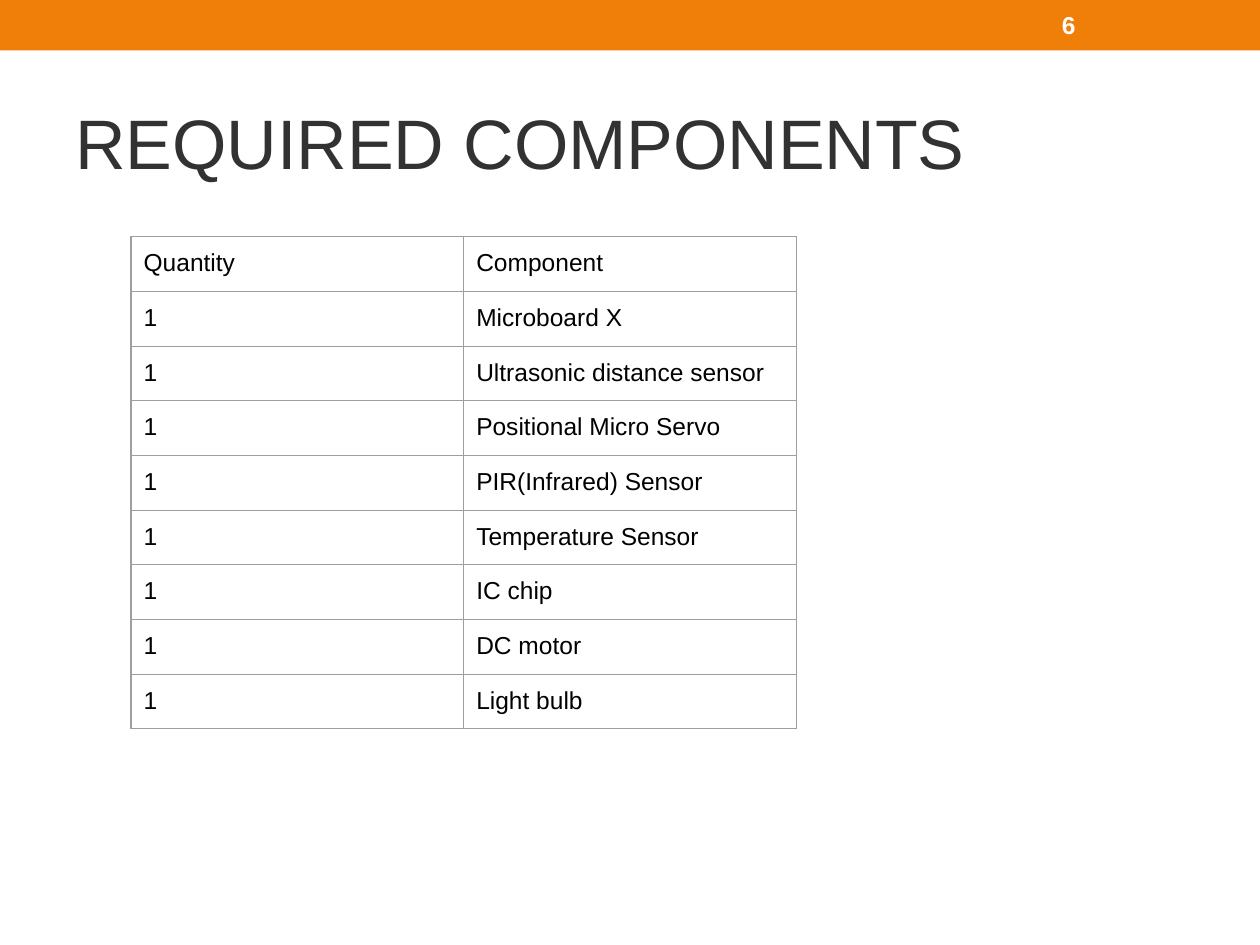
from lxml.etree import SubElement
from pptx import Presentation
from pptx.dml.color import RGBColor
from pptx.enum.shapes import MSO_SHAPE
from pptx.enum.text import MSO_ANCHOR
from pptx.oxml.ns import qn
from pptx.util import Inches, Pt

TITLE = "REQUIRED COMPONENTS"
PAGE = "6"
ROWS = [
    ("Quantity", "Component"),
    ("1", "Microboard X"),
    ("1", "Ultrasonic distance sensor"),
    ("1", "Positional Micro Servo"),
    ("1", "PIR(Infrared) Sensor"),
    ("1", "Temperature Sensor"),
    ("1", "IC chip"),
    ("1", "DC motor"),
    ("1", "Light bulb"),
]
COL, ROW = 2.64, 0.418
EDGE = "9E9E9E"


def color(code):
    return RGBColor.from_string(code)


def write(frame, text, size, code, bold=False):
    run = frame.paragraphs[0].add_run()
    run.text = text
    font = run.font
    font.name, font.size, font.bold = "Arial", Pt(size), bold
    font.color.rgb = color(code)


def label(slide, area, text, size, code, bold=False):
    frame = slide.shapes.add_textbox(*map(Inches, area)).text_frame
    frame.word_wrap = True
    frame.vertical_anchor = MSO_ANCHOR.MIDDLE
    write(frame, text, size, code, bold)


def border(cell):
    props = cell._tc.get_or_add_tcPr()
    for side in ("lnL", "lnR", "lnT", "lnB"):
        line = SubElement(props, qn(f"a:{side}"), w=str(Pt(0.75)))
        fill = SubElement(line, qn("a:solidFill"))
        SubElement(fill, qn("a:srgbClr"), val=EDGE)


def grid(slide, left, top):
    count, width = len(ROWS), len(ROWS[0])
    area = (left, top, COL * width, ROW * count)
    table = slide.shapes.add_table(count, width, *map(Inches, area)).table
    table.first_row = table.horz_banding = False
    for col in table.columns:
        col.width = Inches(COL)
    for r, texts in enumerate(ROWS):
        table.rows[r].height = Inches(ROW)
        for c, text in enumerate(texts):
            cell = table.cell(r, c)
            border(cell)
            cell.fill.background()
            cell.margin_left = cell.margin_right = Inches(0.1)
            cell.margin_top = cell.margin_bottom = Inches(0.1)
            write(cell.text_frame, text, 14, "000000")


def main():
    deck = Presentation()
    deck.slide_width, deck.slide_height = Inches(10), Inches(7.5)
    slide = deck.slides.add_slide(deck.slide_layouts[6])
    band = slide.shapes.add_shape(
        MSO_SHAPE.RECTANGLE, 0, 0, deck.slide_width, Inches(0.4))
    band.shadow.inherit = False
    band.fill.solid()
    band.fill.fore_color.rgb = color("F07F09")
    band.line.fill.background()
    label(slide, (0.5, 0.58, 9, 1.08), TITLE, 40, "323232")
    grid(slide, 1.04, 1.88)
    label(slide, (8.33, 0.02, 1.17, 0.36), PAGE, 14, "FFFFFF", True)
    deck.save("out.pptx")


if __name__ == "__main__":
    main()
